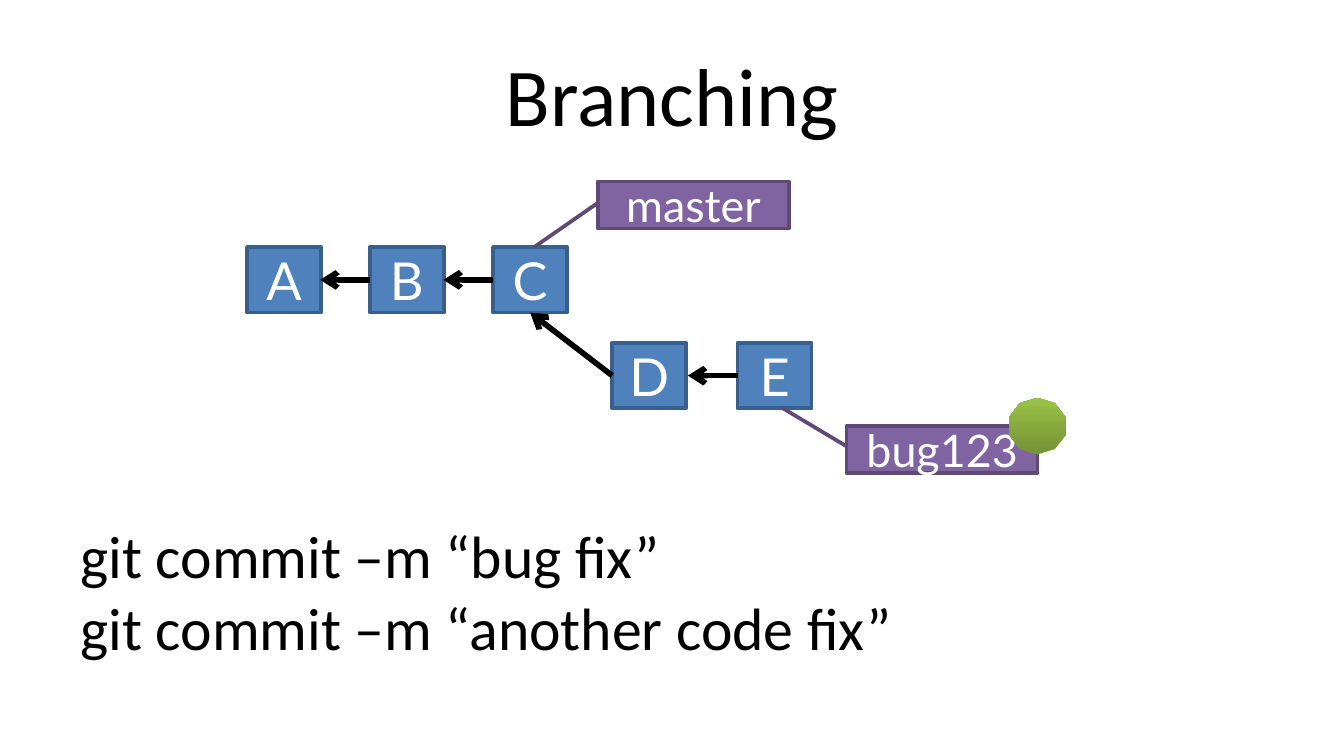
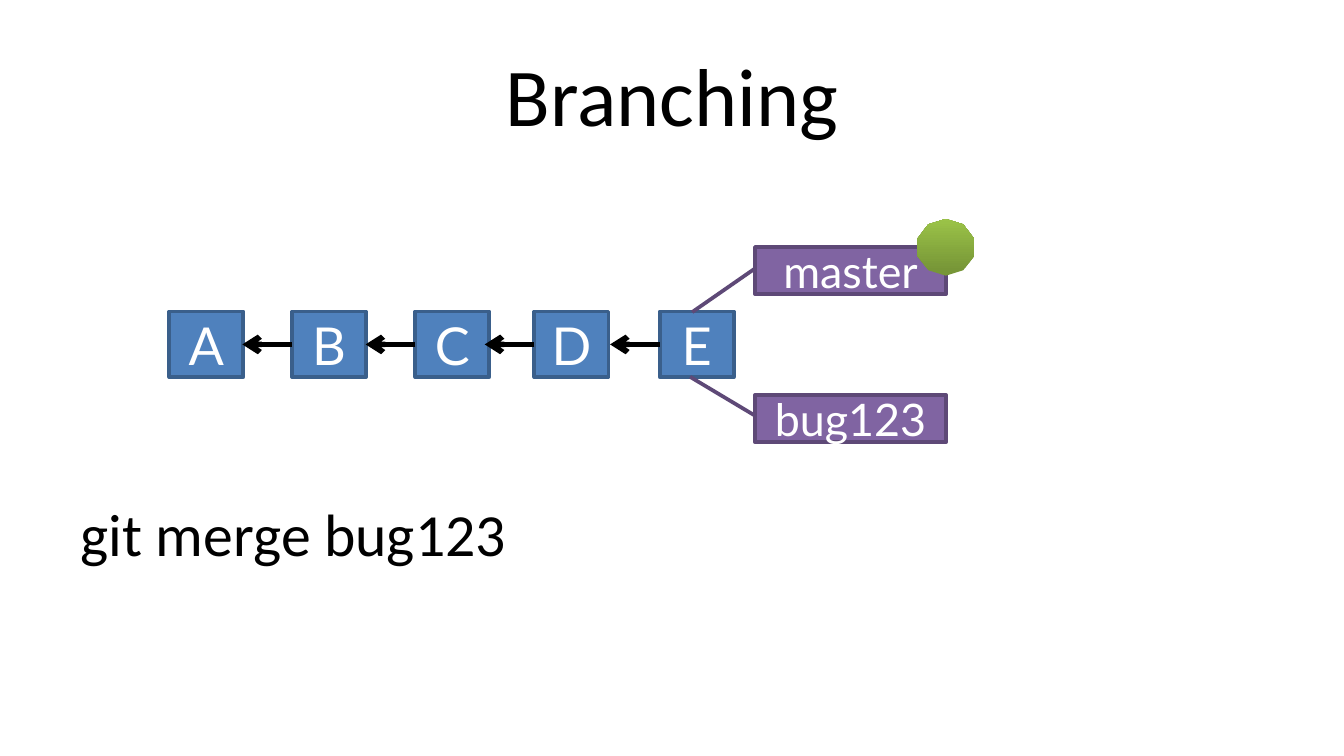
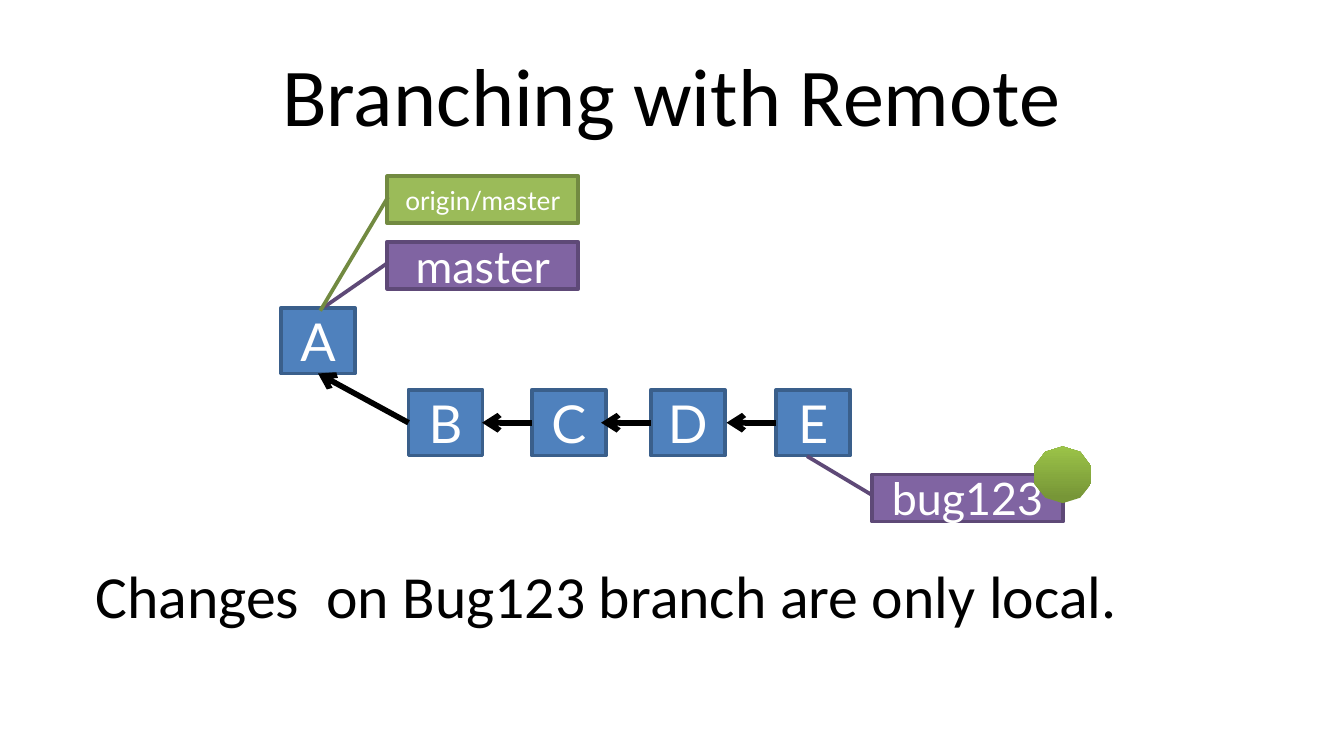
from lxml.etree import SubElement
from pptx import Presentation
from pptx.dml.color import RGBColor
from pptx.enum.shapes import MSO_CONNECTOR as Connector, MSO_SHAPE as Shape
from pptx.enum.text import MSO_ANCHOR as Anchor, MSO_AUTO_SIZE as AutoSize, PP_ALIGN as Align
from pptx.oxml.ns import qn
from pptx.util import Cm, Pt

# Shared look; every length is in centimetres
COLORS = {
    "text": "000000", "white": "FFFFFF",
    "commit": "4F81BD", "commit_edge": "3A5F8B",
    "local": "8064A2", "local_edge": "5E4977",
    "remote": "9BBB59", "remote_edge": "728A41",
    "star_dark": "779637", "star_light": "9BC348",
}
COMMIT_W, COMMIT_H = 1.4, 1.24
COMMIT_OFFSETS = {"A": 0, "B": 2.32, "C": 4.65, "D": 6.9, "E": 9.27}
ARROW_REACH = 0.94
LABEL_W, LABEL_H = 3.61, 0.89
STAR_SHIFT = (3.07, -0.53)

# Callout leaders: start y, start x, end y, end x, as shares of the label
LEADER_DOWN = (0.446, 0.004, 1.383, -0.329)
LEADER_UP = (0.446, 0.004, -0.389, -0.34)
LEADER_FAR_DOWN = (0.446, 0.004, 2.86, -0.351)


def color(name):
    return RGBColor.from_string(COLORS[name])


def place(box, left, top, width, height):
    box.left, box.top, box.width, box.height = map(Cm, (left, top, width, height))


def write(box, *lines, size, font="Calibri", fill="text", align=Align.LEFT, anchor=Anchor.TOP):
    """Write one unbulleted paragraph for each line."""
    frame = box.text_frame
    frame.word_wrap = True
    frame.auto_size = AutoSize.NONE
    frame.vertical_anchor = anchor
    for number, line in enumerate(lines):
        para = frame.add_paragraph() if number else frame.paragraphs[0]
        para.alignment = align
        para.space_before = Pt(0)
        props = para._p.get_or_add_pPr()
        props.set("marL", "0")
        props.set("indent", "0")
        SubElement(props, qn("a:buNone"))
        span = para.add_run()
        span.text = line
        span.font.name = font
        span.font.size = Pt(size)
        span.font.color.rgb = color(fill)


def add_page(deck, title, lines, body):
    page = deck.slides.add_slide(deck.slide_layouts[1])
    heading, content = page.placeholders
    place(heading, 1.27, 0.58, 22.86, 2.39)
    write(heading, title, size=44, align=Align.CENTER, anchor=Anchor.MIDDLE)
    place(content, *body)
    write(content, *lines, size=32)
    return page


def add_box(page, kind, text, frame, look, size):
    box = page.shapes.add_shape(kind, *map(Cm, frame))
    box.shadow.inherit = False
    box.fill.solid()
    box.fill.fore_color.rgb = color(look)
    box.line.color.rgb = color(look + "_edge")
    box.line.width = Pt(2)
    write(box, text, size=size, font="Lato", fill="white",
          align=Align.CENTER, anchor=Anchor.MIDDLE)
    return box


def add_arrow(page, start, end):
    arrow = page.shapes.add_connector(Connector.STRAIGHT, *map(Cm, start + end))
    arrow.line.color.rgb = color("text")
    arrow.line.width = Pt(3)
    SubElement(arrow.line._get_or_add_ln(), qn("a:tailEnd"), type="arrow")
    SubElement(arrow._element.spPr, qn("a:effectLst"))


def add_history(page, *rows):
    """Draw rows of commits, each commit pointing to the one before it."""
    parent = None
    for letters, origin, top in rows:
        for letter in letters:
            left = origin + COMMIT_OFFSETS[letter]
            add_box(page, Shape.RECTANGLE, letter, (left, top, COMMIT_W, COMMIT_H), "commit", 28)
            if parent:
                middle = top + COMMIT_H / 2
                if parent[1] == top:
                    end = (left - ARROW_REACH, middle)
                else:
                    end = (parent[0] + COMMIT_W / 2, parent[1] + COMMIT_H)
                add_arrow(page, (left, middle), end)
            parent = (left, top)


def add_label(page, text, left, top, leader, look="local", size=24, current=False):
    """Draw a branch label; the current branch carries a star."""
    label = add_box(page, Shape.LINE_CALLOUT_1, text, (left, top, LABEL_W, LABEL_H), look, size)
    for number, share in enumerate(leader):
        label.adjustments[number] = share
    if current:
        add_star(page, left + STAR_SHIFT[0], top + STAR_SHIFT[1])


def add_star(page, left, top):
    star = page.shapes.add_shape(Shape.STAR_5_POINT, *map(Cm, (left, top, 1.07, 0.97)))
    star.shadow.inherit = False
    star.adjustments[0] = 0.5
    star.line.fill.background()
    star.fill.gradient()
    star.fill.gradient_angle = 90
    for stop, name in zip(star.fill.gradient_stops, ("star_dark", "star_light")):
        stop.color.rgb = color(name)
    for stop, position in zip(star.fill.gradient_stops, (0, 1)):
        stop.position = position


def main():
    deck = Presentation()
    deck.slide_width, deck.slide_height = Cm(25.4), Cm(14.29)

    # Commits on the bug branch
    page = add_page(deck, "Branching",
                    ["git commit –m “bug fix”", "git commit –m “another code fix”"],
                    (1.27, 9.68, 22.86, 3.07))
    add_history(page, ("ABC", 4.67, 4.67), ("DE", 4.67, 6.48))
    add_label(page, "master", 11.3, 3.43, LEADER_DOWN)
    add_label(page, "bug123", 16, 8.05, LEADER_UP, current=True)

    # Merge into master
    page = add_page(deck, "Branching", ["git merge bug123"], (1.27, 9.27, 22.86, 3.5))
    add_history(page, ("ABCDE", 3.2, 5.89))
    add_label(page, "bug123", 14.27, 7.47, LEADER_UP)
    add_label(page, "master", 14.27, 4.67, LEADER_DOWN, current=True)

    # Local branch beside a remote
    page = add_page(deck, "Branching with Remote",
                    ["Changes  on Bug123 branch are only local."],
                    (1.55, 10.44, 22.86, 2.9))
    add_history(page, ("A", 5.31, 5.82), ("BCDE", 5.4, 7.37))
    add_label(page, "master", 7.32, 4.57, LEADER_DOWN)
    add_label(page, "origin/master", 7.32, 3.33, LEADER_FAR_DOWN, look="remote", size=14)
    add_label(page, "bug123", 16.48, 8.97, LEADER_UP, current=True)

    deck.save("out.pptx")


main()
